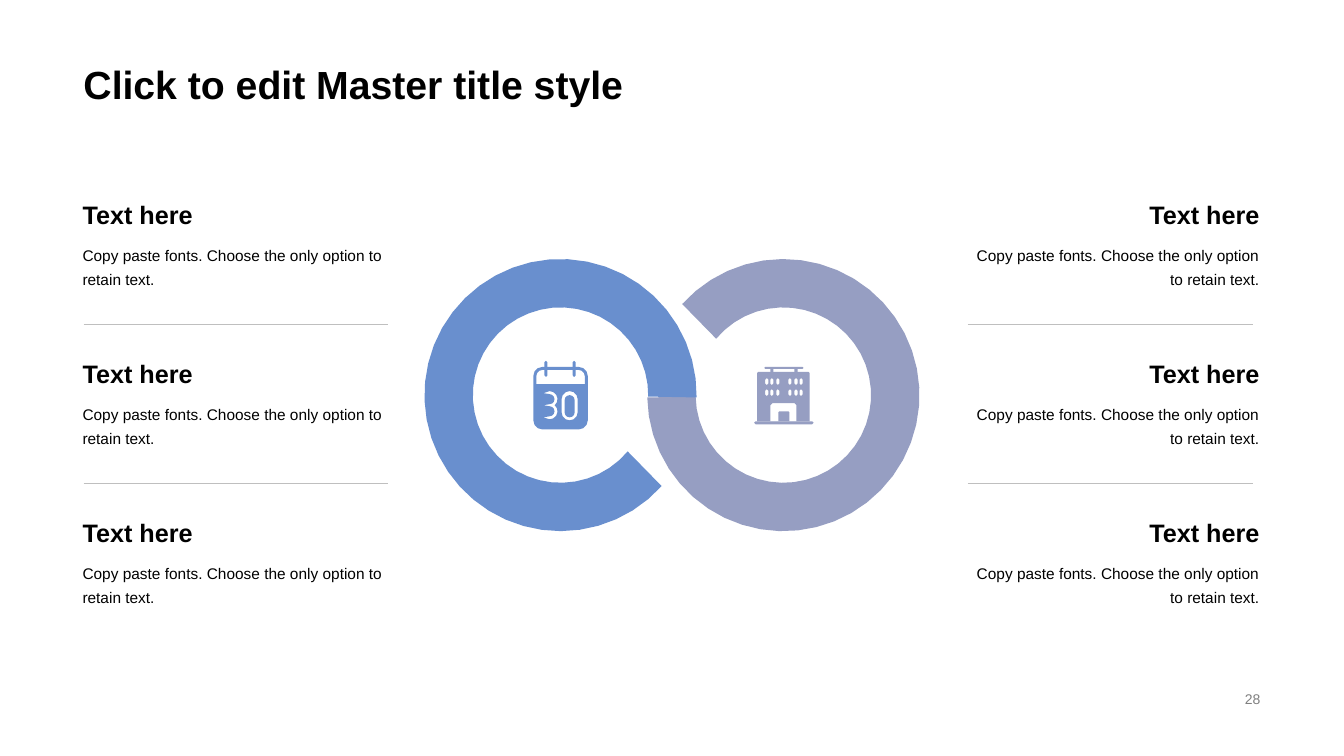
from dataclasses import dataclass
from math import cos, radians, sin

from lxml.etree import SubElement
from pptx import Presentation
from pptx.dml.color import RGBColor
from pptx.enum.shapes import MSO_CONNECTOR
from pptx.enum.text import MSO_ANCHOR, PP_ALIGN
from pptx.oxml.ns import qn
from pptx.util import Inches, Pt


@dataclass(frozen=True)
class Theme:
    font: str = "Arial"
    text: str = "000000"
    muted: str = "7F7F7F"
    rule: str = "BFBFBF"
    blue: str = "698FCE"
    violet: str = "969EC2"
    title_size: float = 28
    heading_size: float = 18
    body_size: float = 11
    number_size: float = 10
    rule_width: float = 0.75


# Outline helpers: each returns a list of (x, y) points in inches
def arc(center_x, center_y, radius, start, end):
    """Sample an arc, with coarser steps for smaller radii."""
    if radius == 0:
        return [(center_x, center_y)]
    step_angle = 8 if radius > 0.5 else 30 if radius > 0.03 else 90
    steps = max(1, round(abs(end - start) / step_angle))
    angles = [radians(start + (end - start) * step / steps) for step in range(steps + 1)]
    return [(center_x + radius * cos(angle), center_y + radius * sin(angle)) for angle in angles]


def box(left, top, right, bottom, top_radius=0, bottom_radius=0):
    corners = [
        (left + top_radius, top + top_radius, top_radius, 180),
        (right - top_radius, top + top_radius, top_radius, 270),
        (right - bottom_radius, bottom - bottom_radius, bottom_radius, 0),
        (left + bottom_radius, bottom - bottom_radius, bottom_radius, 90),
    ]
    return [point for x, y, radius, start in corners
            for point in arc(x, y, radius, start, start + 90)]


def pill(left, top, right, bottom):
    radius = min(right - left, bottom - top) / 2
    return box(left, top, right, bottom, radius, radius)


def digit_three(left, center_x, upper_y, lower_y, outer, inner):
    def stroke_end(y):
        return [(left, y)]

    return (arc(center_x, upper_y, outer, -90, 50)
            + arc(center_x, lower_y, outer, -50, 90)
            + stroke_end(lower_y + 0.06)
            + arc(center_x, lower_y, inner, 90, -90)
            + stroke_end((upper_y + lower_y) / 2)
            + arc(center_x, upper_y, inner, 90, -90)
            + stroke_end(upper_y - 0.06))


class SlideBuilder:
    def __init__(self, slide, theme):
        self.slide = slide
        self.theme = theme

    def text(self, words, left, top, width, height, size, color=None, bold=False,
             align=PP_ALIGN.LEFT, anchor=MSO_ANCHOR.TOP, line_spacing=1.0):
        shape = self.slide.shapes.add_textbox(
            Inches(left), Inches(top), Inches(width), Inches(height))
        frame = shape.text_frame
        frame.word_wrap = True
        frame.vertical_anchor = anchor
        paragraph = frame.paragraphs[0]
        paragraph.text = words
        paragraph.alignment = align
        paragraph.line_spacing = line_spacing
        paragraph.font.name = self.theme.font
        paragraph.font.size = Pt(size)
        paragraph.font.bold = bold
        paragraph.font.color.rgb = RGBColor.from_string(color or self.theme.text)

    def rule(self, left, right, y):
        line = self.slide.shapes.add_connector(
            MSO_CONNECTOR.STRAIGHT, Inches(left), Inches(y), Inches(right), Inches(y))
        line.line.color.rgb = RGBColor.from_string(self.theme.rule)
        line.line.width = Pt(self.theme.rule_width)
        SubElement(line._element.spPr, qn("a:effectLst"))

    def outline(self, color, *contours):
        """Fill the contours; a contour inside another one cuts a hole."""
        scaled = [[(Inches(x), Inches(y)) for x, y in contour] for contour in contours]
        builder = self.slide.shapes.build_freeform(*scaled[0][0])
        for index, points in enumerate(scaled):
            if index:
                builder.move_to(*points[0])
            builder.add_line_segments(points[1:], close=True)
        shape = builder.convert_to_shape()
        shape.shadow.inherit = False
        shape.fill.solid()
        shape.fill.fore_color.rgb = RGBColor.from_string(color)
        shape.line.fill.background()

    def open_ring(self, color, center_x, center_y, start, end):
        outer = arc(center_x, center_y, 1.35, start, end)
        inner = arc(center_x, center_y, 0.87, end, start - 2)
        self.outline(color, outer + inner)

    def calendar_icon(self, color):
        self.outline(
            color,
            box(5.29, 3.64, 5.83, 4.26, 0.09, 0.09),
            box(5.32, 3.67, 5.80, 3.81, 0.06),
            digit_three(5.39, 5.45, 3.96, 4.08, 0.08, 0.05),
            pill(5.57, 3.88, 5.73, 4.17),
            pill(5.60, 3.92, 5.70, 4.14))
        for left in (5.40, 5.68):
            self.outline(color, pill(left, 3.58, left + 0.03, 3.74))

    def building_icon(self, color):
        windows = [pill(left, top, left + 0.03, top + 0.07)
                   for top in (3.75, 3.86)
                   for left in (7.59, 7.64, 7.70, 7.82, 7.88, 7.93)]
        entrance = box(7.64, 4.00, 7.90, 4.18, 0.02)
        door = box(7.72, 4.08, 7.83, 4.18, 0.01)
        self.outline(color, box(7.51, 3.69, 8.03, 4.18, 0.01), *windows, entrance, door)
        self.outline(color, pill(7.48, 4.18, 8.07, 4.21))
        # Roof bar on two posts
        self.outline(color, pill(7.58, 3.64, 7.97, 3.66),
                     *[box(left, 3.66, left + 0.03, 3.69) for left in (7.64, 7.88)])

    def text_column(self, left, width, align, rule_left, rule_right):
        pitch = 3.15 / 2
        for row in range(3):
            top = 1.91 + row * pitch
            self.text("Text here", left, top, width, 0.42, self.theme.heading_size,
                      bold=True, align=align, anchor=MSO_ANCHOR.BOTTOM)
            self.text("Copy paste fonts. Choose the only option to retain text.",
                      left, top + 0.43, width, 0.61, self.theme.body_size,
                      align=align, line_spacing=1.3)
            if row < 2:
                self.rule(rule_left, rule_right, top + 1.31)


theme = Theme()
presentation = Presentation()
presentation.slide_width = Inches(13.33)
presentation.slide_height = Inches(7.5)
builder = SlideBuilder(presentation.slides.add_slide(presentation.slide_layouts[6]), theme)

# Title and slide number
builder.text("Click to edit Master title style", 0.73, 0, 11.87, 1.12, theme.title_size,
             bold=True, anchor=MSO_ANCHOR.BOTTOM, line_spacing=0.9)
builder.text("28", 9.42, 6.82, 3.18, 0.23, theme.number_size, color=theme.muted,
             align=PP_ALIGN.RIGHT, anchor=MSO_ANCHOR.MIDDLE)

# Interlocking rings
builder.open_ring(theme.violet, 7.77, 3.92, 222, 539)
builder.open_ring(theme.blue, 5.56, 3.92, 42, 361)

# Icons inside the rings
builder.calendar_icon(theme.blue)
builder.building_icon(theme.violet)

# Text columns on both sides
builder.text_column(0.72, 3.39, PP_ALIGN.LEFT, 0.83, 3.85)
builder.text_column(9.42, 3.17, PP_ALIGN.RIGHT, 9.60, 12.43)

presentation.save("out.pptx")
